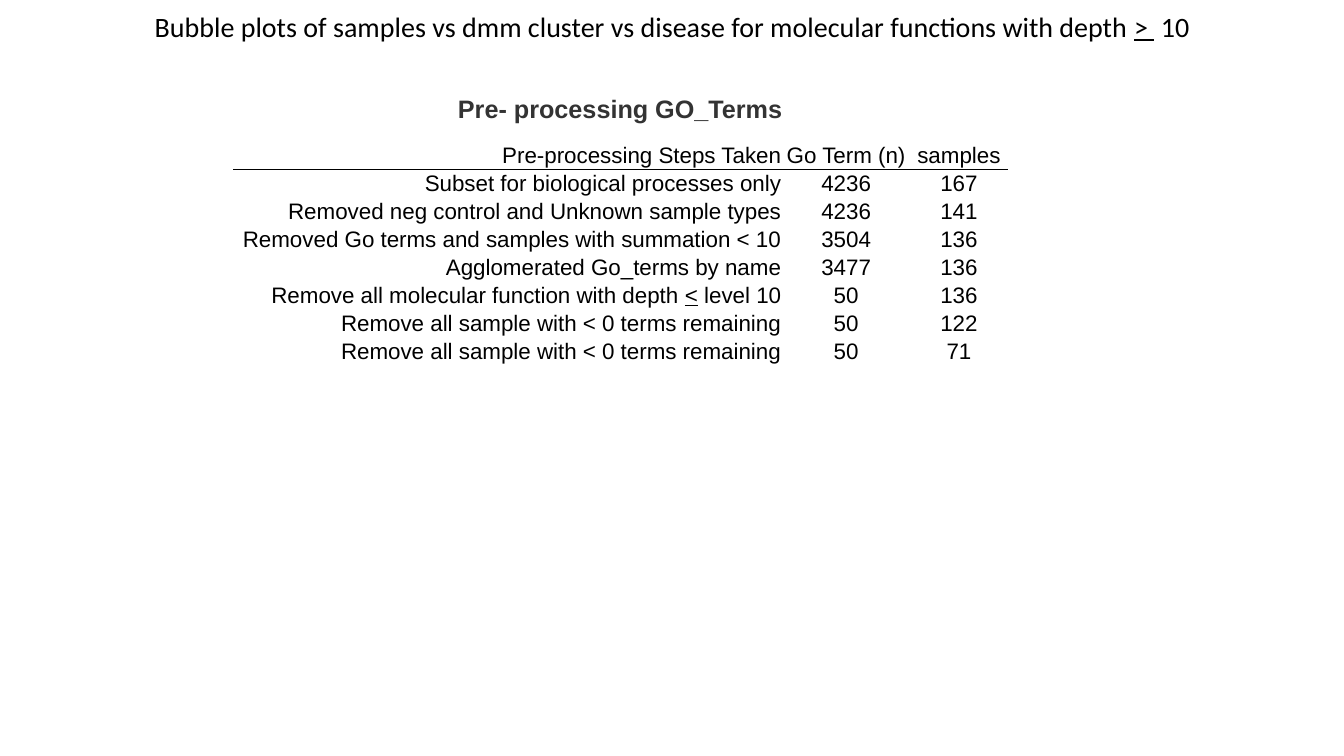
from lxml import etree
from pptx import Presentation
from pptx.dml.color import RGBColor
from pptx.enum.text import MSO_ANCHOR, PP_ALIGN
from pptx.oxml.ns import qn
from pptx.util import Pt

BLACK = RGBColor(0x00, 0x00, 0x00)
GRAY = RGBColor(0x33, 0x33, 0x33)

# A tuple holds the pieces of a line; every second piece is underlined.
TITLE = ("Bubble plots of samples vs dmm cluster vs disease "
         "for molecular functions with depth ", "> ", " 10")
SUBTITLE = ("Pre- processing GO_Terms",)
COLUMN_WIDTHS = (391.7, 91.4, 69.8)
ROW_HEIGHT = 20
STEPS = [
    (("Pre-processing Steps Taken",), "Go Term (n)", "samples"),
    (("Subset for biological processes only",), "4236", "167"),
    (("Removed neg control and Unknown sample types",), "4236", "141"),
    (("Removed Go terms and samples with summation < 10",), "3504", "136"),
    (("Agglomerated Go_terms by name",), "3477", "136"),
    (("Remove all molecular function with depth ", "<", " level 10"), "50", "136"),
    (("Remove all sample with < 0 terms remaining",), "50", "122"),
    (("Remove all sample with < 0 terms remaining",), "50", "71"),
]


def write_line(p, pieces, size, font, color=BLACK, bold=False, align=PP_ALIGN.CENTER):
    """Write the pieces as runs, underlining every second one."""
    p.alignment = align
    for i, piece in enumerate(pieces):
        r = p.add_run()
        r.text = piece
        r.font.size, r.font.name, r.font.bold = Pt(size), font, bold
        r.font.underline = i % 2 == 1
        r.font.color.rgb = color


def add_heading(s, left, top, width, height, pieces, **style):
    """Add one centred line of text in the given box."""
    tf = s.shapes.add_textbox(Pt(left), Pt(top), Pt(width), Pt(height)).text_frame
    tf.word_wrap = True
    write_line(tf.paragraphs[0], pieces, **style)


def add_rule(cell, side):
    """Draw a thin black border on one side of a cell."""
    ln = etree.SubElement(cell._tc.get_or_add_tcPr(), qn(f"a:{side}"), w=str(Pt(0.5)))
    fill = etree.SubElement(ln, qn("a:solidFill"))
    etree.SubElement(fill, qn("a:srgbClr"), val=str(BLACK))


def add_steps_table(s, left, top):
    """Add the table of pre-processing steps with a rule below its header."""
    frame = s.shapes.add_table(len(STEPS), len(COLUMN_WIDTHS), Pt(left), Pt(top),
                               Pt(sum(COLUMN_WIDTHS)), Pt(ROW_HEIGHT * len(STEPS)))
    table = frame.table
    table.first_row = table.horz_banding = False
    for column, width in zip(table.columns, COLUMN_WIDTHS):
        column.width = Pt(width)
    for i, (step, terms, samples) in enumerate(STEPS):
        table.rows[i].height = Pt(ROW_HEIGHT)
        for j, pieces in enumerate((step, (terms,), (samples,))):
            cell = table.cell(i, j)
            cell.margin_left = cell.margin_right = cell.margin_top = Pt(0.7)
            cell.margin_bottom = Pt(0)
            cell.vertical_anchor = MSO_ANCHOR.MIDDLE
            if i < 2:
                add_rule(cell, ("lnB", "lnT")[i])
            cell.fill.background()
            write_line(cell.text_frame.paragraphs[0], pieces, 16, "Arial",
                       align=PP_ALIGN.CENTER if j else PP_ALIGN.RIGHT)


def build_slide(prs):
    """Add the slide with its title, subtitle and table."""
    s = prs.slides.add_slide(prs.slide_layouts[6])
    add_heading(s, 0, 2.9, 960, 31.5, TITLE, size=20, font="Calibri")
    add_heading(s, 203, 63.4, 480, 29, SUBTITLE, size=18, font="Arial",
                color=GRAY, bold=True)
    add_steps_table(s, 167, 100.8)


prs = Presentation()
prs.slide_width, prs.slide_height = Pt(960), Pt(540)
build_slide(prs)
prs.save("out.pptx")
